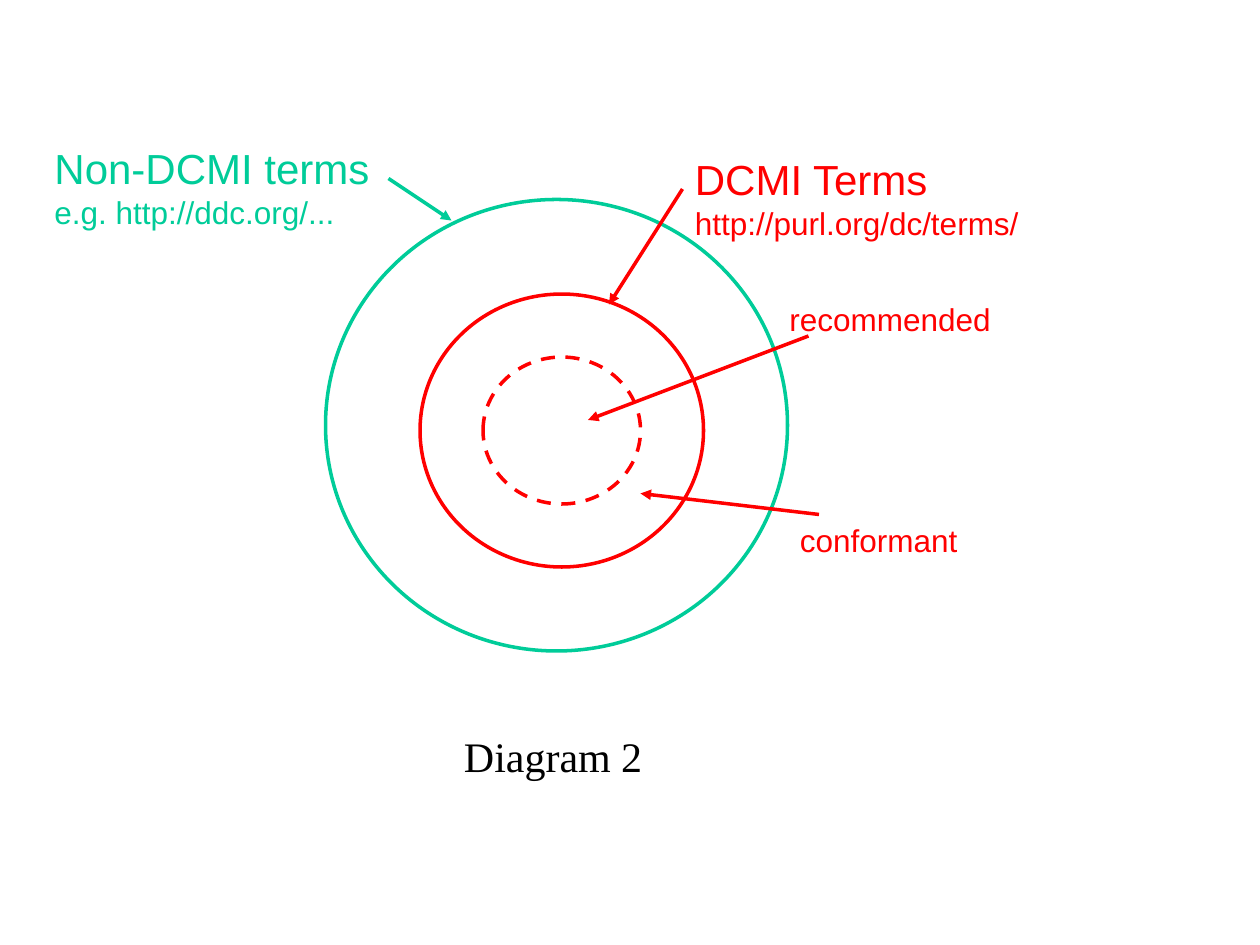
from pptx import Presentation
from pptx.dml.color import RGBColor
from pptx.enum.dml import MSO_LINE
from pptx.enum.shapes import MSO_CONNECTOR, MSO_SHAPE
from pptx.enum.text import MSO_AUTO_SIZE
from pptx.oxml.ns import qn
from pptx.util import Inches, Pt
from lxml import etree

DASH = MSO_LINE.DASH
OVAL = MSO_SHAPE.OVAL
STRAIGHT = MSO_CONNECTOR.STRAIGHT
FIT_SHAPE = MSO_AUTO_SIZE.SHAPE_TO_FIT_TEXT

GREEN, RED, BLACK, WHITE = "00CC99", "FF0000", "000000", "FFFFFF"
HEADING, DETAIL = 24, 18


def cells(*counts):
    """Convert grid counts to lengths; the slide is 120 columns by 90 rows."""
    return [Inches(count / 12) for count in counts]


def paint(color_format, color):
    color_format.rgb = RGBColor.from_string(color)


prs = Presentation()
prs.slide_width, prs.slide_height = cells(120, 90)
slide = prs.slides.add_slide(prs.slide_layouts[6])

# Nested term sets, outermost first: column, row, columns wide, rows high
term_sets = [
    ((31, 19, 44, 43), GREEN, None),
    ((40, 28, 27, 26), RED, None),
    ((46, 34, 15, 14), RED, DASH),
]
for area, color, dash in term_sets:
    ring = slide.shapes.add_shape(OVAL, *cells(*area))
    ring.shadow.inherit = False
    ring.fill.solid()
    paint(ring.fill.fore_color, WHITE)
    paint(ring.line.color, color)
    ring.line.width = Pt(2)
    if dash:
        ring.line.dash_style = dash

# Pointers from the labels to the sets: start column and row, end column and row
pointers = [
    ((65, 18, 58, 29), RED),
    ((77, 32, 56, 40), RED),
    ((78, 49, 61, 47), RED),
    ((37, 17, 43, 21), GREEN),
]
for ends, color in pointers:
    pointer = slide.shapes.add_connector(STRAIGHT, *cells(*ends))
    paint(pointer.line.color, color)
    pointer.line.width = Pt(2)
    properties = pointer._element.spPr
    etree.SubElement(properties.get_or_add_ln(), qn("a:tailEnd"), type="triangle")
    etree.SubElement(properties, qn("a:effectLst"))

# Labels: area, font, colour, lines with their sizes
labels = [
    ((65, 14, 35, 9.6), "Arial", RED,
     [("DCMI Terms", HEADING), ("http://purl.org/dc/terms/", DETAIL)]),
    ((74, 28, 23, 4.8), "Arial", RED, [("recommended", DETAIL)]),
    ((75, 49, 19, 4.8), "Arial", RED, [("conformant", DETAIL)]),
    ((4, 13, 39, 9.6), "Arial", GREEN,
     [("Non-DCMI terms", HEADING), ("e.g. http://ddc.org/...", DETAIL)]),
    ((43, 69, 21, 6), "Times New Roman", BLACK, [("Diagram 2", HEADING)]),
]
for area, font, color, lines in labels:
    frame = slide.shapes.add_textbox(*cells(*area)).text_frame
    frame.word_wrap = True
    frame.auto_size = FIT_SHAPE
    frame.text = "\n".join(wording for wording, size in lines)
    for paragraph, (wording, size) in zip(frame.paragraphs, lines):
        run = paragraph.runs[0]
        run.font.name = font
        run.font.size = Pt(size)
        paint(run.font.color, color)

prs.save("out.pptx")
